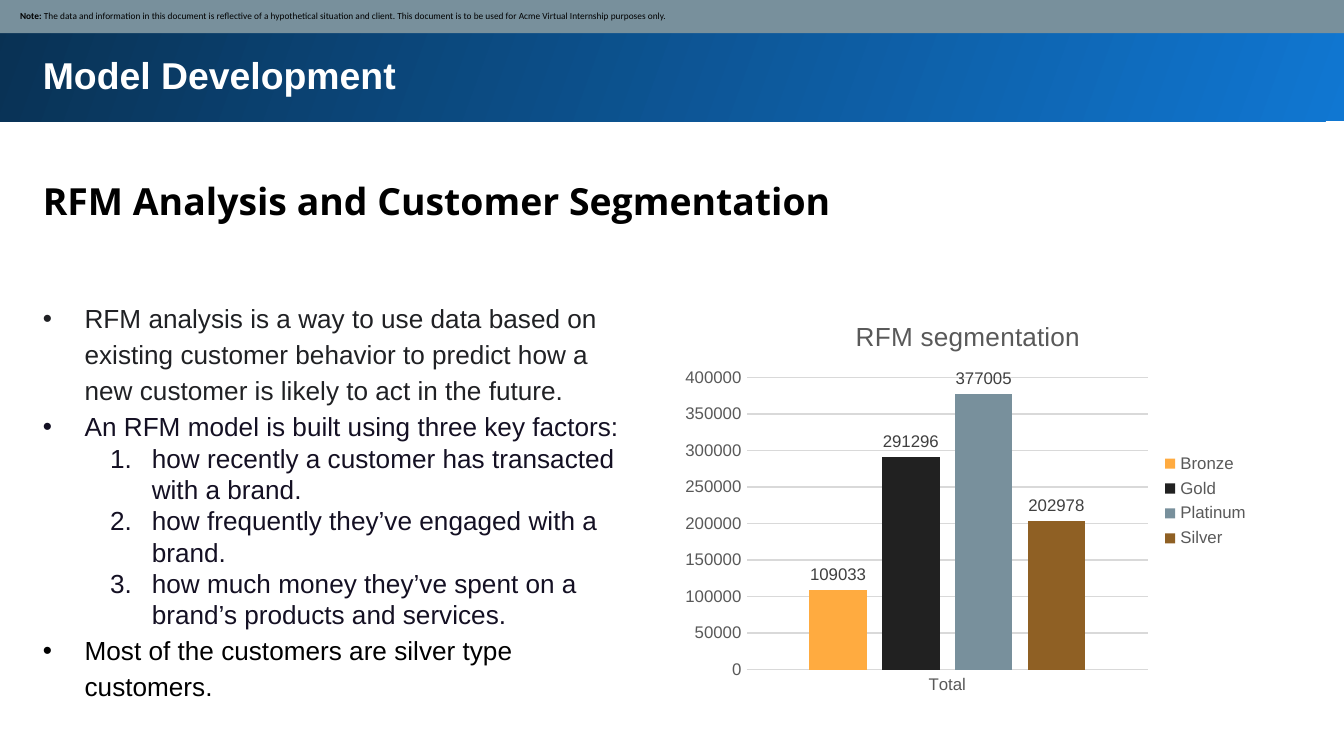
from lxml import etree
from pptx import Presentation
from pptx.chart.data import CategoryChartData
from pptx.dml.color import RGBColor
from pptx.enum.chart import (XL_CHART_TYPE, XL_LABEL_POSITION,
                             XL_LEGEND_POSITION, XL_TICK_MARK)
from pptx.enum.shapes import MSO_SHAPE
from pptx.enum.text import MSO_ANCHOR, MSO_AUTO_SIZE, PP_ALIGN
from pptx.oxml.ns import qn
from pptx.util import Cm, Pt

COLUMNS = XL_CHART_TYPE.COLUMN_CLUSTERED
OUTSIDE = XL_LABEL_POSITION.OUTSIDE_END
RIGHT = XL_LEGEND_POSITION.RIGHT
NO_TICK = XL_TICK_MARK.NONE
RECT = MSO_SHAPE.RECTANGLE
TOP, MIDDLE = MSO_ANCHOR.TOP, MSO_ANCHOR.MIDDLE
LEFT = PP_ALIGN.LEFT
NO_FIT = MSO_AUTO_SIZE.NONE

COLORS = {
    "white": "FFFFFF", "black": "000000", "bright": "1077D2", "navy": "093153",
    "slate": "78909C", "charcoal": "202124", "ink": "141023",
    "axis": "595959", "label": "404040", "grid": "D9D9D9",
    "bronze": "FFAB40", "gold": "212121", "silver": "8F6024",
}
SEGMENTS = [("Bronze", 109033, "bronze"), ("Gold", 291296, "gold"),
            ("Platinum", 377005, "slate"), ("Silver", 202978, "silver")]
POINTS = [  # text, colour, numbered
    ("RFM analysis is a way to use data based on existing customer behavior "
     "to predict how a new customer is likely to act in the future.",
     "charcoal", False),
    ("An RFM model is built using three key factors:", "ink", False),
    ("how recently a customer has transacted with a brand.", "ink", True),
    ("how frequently they’ve engaged with a brand.", "ink", True),
    ("how much money they’ve spent on a brand’s products and services.",
     "ink", True),
    ("Most of the customers are silver type customers.", "black", False),
]


def rgb(name):
    return RGBColor.from_string(COLORS[name])


def set_font(font, size, color, name="Arial", bold=False):
    values = {"size": Pt(size), "name": name, "bold": bold}
    for key, value in values.items():
        setattr(font, key, value)
    font.color.rgb = rgb(color)


def set_frame(tf, anchor=TOP, margin=0.25):
    values = {"word_wrap": True, "auto_size": NO_FIT, "vertical_anchor": anchor}
    for side in ("left", "top", "right", "bottom"):
        values["margin_" + side] = Cm(margin)
    for key, value in values.items():
        setattr(tf, key, value)


def add_run(p, text, *style):
    r = p.add_run()
    r.text = text
    set_font(r.font, *style)


def add_bar(slide, box):
    sp = slide.shapes.add_shape(RECT, *map(Cm, box))
    sp.shadow.inherit = False
    sp.line.fill.background()
    return sp


def add_header(slide, box):
    x, y, w, h = box
    bar = add_bar(slide, box)
    bar.fill.gradient()
    bar.fill.gradient_angle = 160
    for stop, color in zip(bar.fill.gradient_stops, ("bright", "navy")):
        stop.color.rgb = rgb(color)
    slide.shapes._spTree.insert(2, bar._element)  # behind the title

    title = slide.shapes.title
    title.left, title.top = Cm(x + 0.61), Cm(y + 0.79)
    title.width, title.height = Cm(w - 1.73), Cm(1.3)
    set_frame(title.text_frame)
    p = title.text_frame.paragraphs[0]
    p.alignment = LEFT
    add_run(p, "Model Development", 20, "white", "Arial", True)


def add_note(slide, box):
    bar = add_bar(slide, box)
    bar.fill.solid()
    bar.fill.fore_color.rgb = rgb("slate")
    tf = bar.text_frame
    set_frame(tf, MIDDLE, 0.13)
    tf.margin_left = Cm(0.41)
    p = tf.paragraphs[0]
    p.alignment = LEFT
    add_run(p, "Note: ", 5, "black", "Calibri", True)
    add_run(p, "The data and information in this document is reflective of a "
            "hypothetical situation and client. This document is to be used "
            "for Acme Virtual Internship purposes only.", 5, "black", "Calibri")


def add_heading(slide, box):
    tf = slide.shapes.add_textbox(*map(Cm, box)).text_frame
    set_frame(tf)
    p = tf.paragraphs[0]
    p.line_spacing = 1.15
    add_run(p, "RFM Analysis and Customer Segmentation", 20, "black",
            "Open Sans", True)


def set_bullet(p, numbered):
    pPr = p._p.get_or_add_pPr()
    pPr.set("marL", str(Cm(2.06 if numbered else 0.79)))
    pPr.set("indent", str(Cm(-0.79)))
    font = etree.SubElement(pPr, qn("a:buFont"))
    font.set("typeface", "Arial")
    if numbered:
        etree.SubElement(pPr, qn("a:buAutoNum")).set("type", "arabicPeriod")
    else:
        etree.SubElement(pPr, qn("a:buChar")).set("char", "•")


def add_points(slide, box):
    tf = slide.shapes.add_textbox(*map(Cm, box)).text_frame
    set_frame(tf)
    for i, (text, color, numbered) in enumerate(POINTS):
        p = tf.add_paragraph() if i else tf.paragraphs[0]
        p.level = int(numbered)
        p.line_spacing = 1.0 if numbered else 1.15
        set_bullet(p, numbered)
        add_run(p, text, 14, color)


def add_segment_chart(slide, box):
    data = CategoryChartData()
    data.categories = ["Total"]
    for name, value, _ in SEGMENTS:
        data.add_series(name, [value])
    chart = slide.shapes.add_chart(COLUMNS, *map(Cm, box), data).chart
    set_font(chart.font, 10, "black")

    # Title and legend
    chart.has_title = True
    p = chart.chart_title.text_frame.paragraphs[0]
    add_run(p, "RFM segmentation", 14, "axis")
    chart.chart_title.include_in_layout = False
    chart.has_legend = True
    chart.legend.position = RIGHT
    chart.legend.include_in_layout = False
    set_font(chart.legend.font, 9, "axis")

    # Axes
    cat, val = chart.category_axis, chart.value_axis
    for axis in (cat, val):
        axis.major_tick_mark = axis.minor_tick_mark = NO_TICK
        set_font(axis.tick_labels.font, 9, "axis")
    val.has_major_gridlines = True
    val.format.line.fill.background()
    for line in (cat.format.line, val.major_gridlines.format.line):
        line.color.rgb = rgb("grid")
        line.width = Pt(0.75)

    # Columns
    plot = chart.plots[0]
    plot.gap_width, plot.overlap = 219, -27
    plot.vary_by_categories = False
    for series, (_, _, color) in zip(plot.series, SEGMENTS):
        series.format.fill.solid()
        series.format.fill.fore_color.rgb = rgb(color)
        labels = series.data_labels
        labels.show_value = True
        labels.position = OUTSIDE
        set_font(labels.font, 9, "label")


prs = Presentation()
prs.slide_width, prs.slide_height = Cm(25.4), Cm(14.29)
slide = prs.slides.add_slide(prs.slide_layouts[5])
add_header(slide, (-0.05, -0.05, 25.53, 2.34))
add_heading(slide, (0.56, 3, 23.8, 1.42))
add_points(slide, (0.56, 5.38, 11.48, 8.18))
add_note(slide, (-0.03, -0.03, 25.48, 0.66))
add_segment_chart(slide, (12.73, 5.66, 11.13, 7.62))
prs.save("out.pptx")
